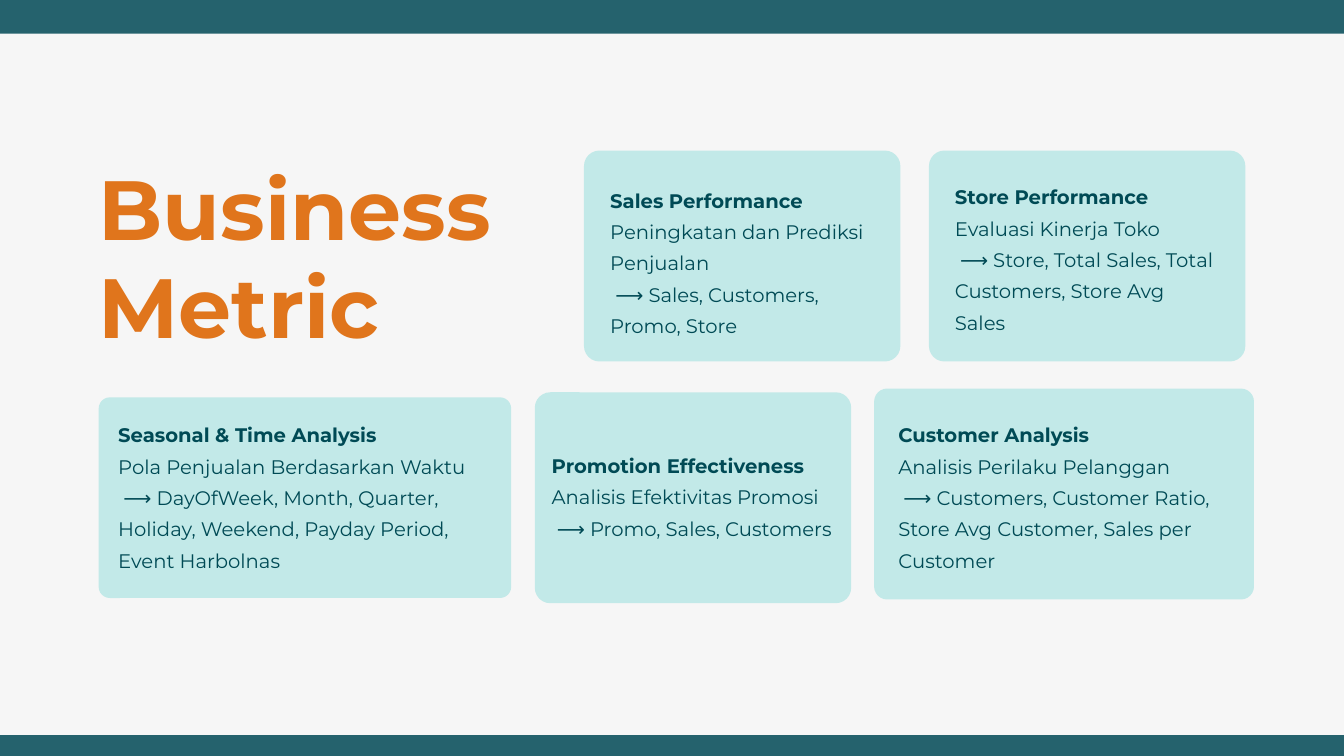
from pptx import Presentation
from pptx.dml.color import RGBColor
from pptx.enum.shapes import MSO_SHAPE as Shape
from pptx.enum.text import MSO_AUTO_SIZE as AutoSize, PP_ALIGN as Align
from pptx.util import Pt

PAPER = RGBColor(0xF6, 0xF6, 0xF6)
TEAL = RGBColor(0x25, 0x62, 0x6D)
MINT = RGBColor(0xC2, 0xE9, 0xE8)
INK = RGBColor(0x00, 0x4A, 0x55)
ORANGE = RGBColor(0xE0, 0x75, 0x1C)

TITLE = {"name": "Montserrat", "size": Pt(90), "bold": True}
HEADING = {"name": "Montserrat", "size": Pt(21), "bold": True}
BODY = {**HEADING, "bold": False}
TITLE_LEADING = 104.4
CARD_LEADING = 33.6

CARDS = [
    ((625.7, 161.3, 339, 226), 16.6, (653.8, 193.7, 283, 5),
     ("Sales Performance", "Peningkatan dan Prediksi Penjualan",
      " ⟶ Sales, Customers, Promo, Store")),
    ((573, 420.3, 339, 226), 16.6, (591.1, 478, 302.4, 3),
     ("Promotion Effectiveness", "Analisis Efektivitas Promosi",
      " ⟶ Promo, Sales, Customers")),
    ((995.3, 161.3, 339, 226), 16.6, (1023.1, 190, 283, 5),
     ("Store Performance", "Evaluasi Kinerja Toko",
      " ⟶ Store, Total Sales, Total Customers, Store Avg Sales")),
    ((936.6, 416.3, 407, 226), 14, (962.5, 445, 354.2, 5),
     ("Customer Analysis", "Analisis Perilaku Pelanggan",
      " ⟶ Customers, Customer Ratio, Store Avg Customer, Sales per Customer")),
    ((105.7, 425.7, 442, 215), 12, (126.7, 445, 400.3, 5),
     ("Seasonal & Time Analysis", "Pola Penjualan Berdasarkan Waktu",
      " ⟶ DayOfWeek, Month, Quarter, Holiday, Weekend, Payday Period, Event Harbolnas")),
]


class Slide:
    def __init__(self, deck):
        self.page = deck.slides.add_slide(deck.slide_layouts[6])
        self.page.background.fill.solid()
        self.page.background.fill.fore_color.rgb = PAPER

    def panel(self, kind, frame, color):
        panel = self.page.shapes.add_shape(kind, *map(Pt, frame))
        panel.shadow.inherit = False
        panel.fill.solid()
        panel.fill.fore_color.rgb = color
        panel.line.fill.background()
        return panel

    def bar(self, top):
        self.panel(Shape.RECTANGLE, (-5, top, 1457, 44.6), TEAL)

    def card(self, frame, radius):
        card = self.panel(Shape.ROUNDED_RECTANGLE, frame, MINT)
        card.adjustments[0] = radius / min(frame[2:])

    def text(self, left, top, width, lines, leading, color, paragraphs):
        box = self.page.shapes.add_textbox(
            *map(Pt, (left, top, width, lines * leading)))
        frame = box.text_frame
        layout = {"word_wrap": True, "auto_size": AutoSize.SHAPE_TO_FIT_TEXT,
                  "margin_left": 0, "margin_right": 0,
                  "margin_top": 0, "margin_bottom": 0}
        for name, value in layout.items():
            setattr(frame, name, value)
        for index, (words, style) in enumerate(paragraphs):
            para = frame.add_paragraph() if index else frame.paragraphs[0]
            para.alignment = Align.LEFT
            para.line_spacing = Pt(leading)
            span = para.add_run()
            span.text = words
            for name, value in style.items():
                setattr(span.font, name, value)
            span.font.color.rgb = color


def main():
    deck = Presentation()
    deck.slide_width, deck.slide_height = Pt(1440), Pt(810)
    slide = Slide(deck)
    for top in (-8.6, 787.6):
        slide.bar(top)
    slide.text(105.7, 171.4, 525, 2, TITLE_LEADING, ORANGE,
               [("Business Metric", TITLE)])
    for frame, radius, place, words in CARDS:
        slide.card(frame, radius)
        slide.text(*place, CARD_LEADING, INK, zip(words, (HEADING, BODY, BODY)))
    deck.save("out.pptx")


if __name__ == "__main__":
    main()
